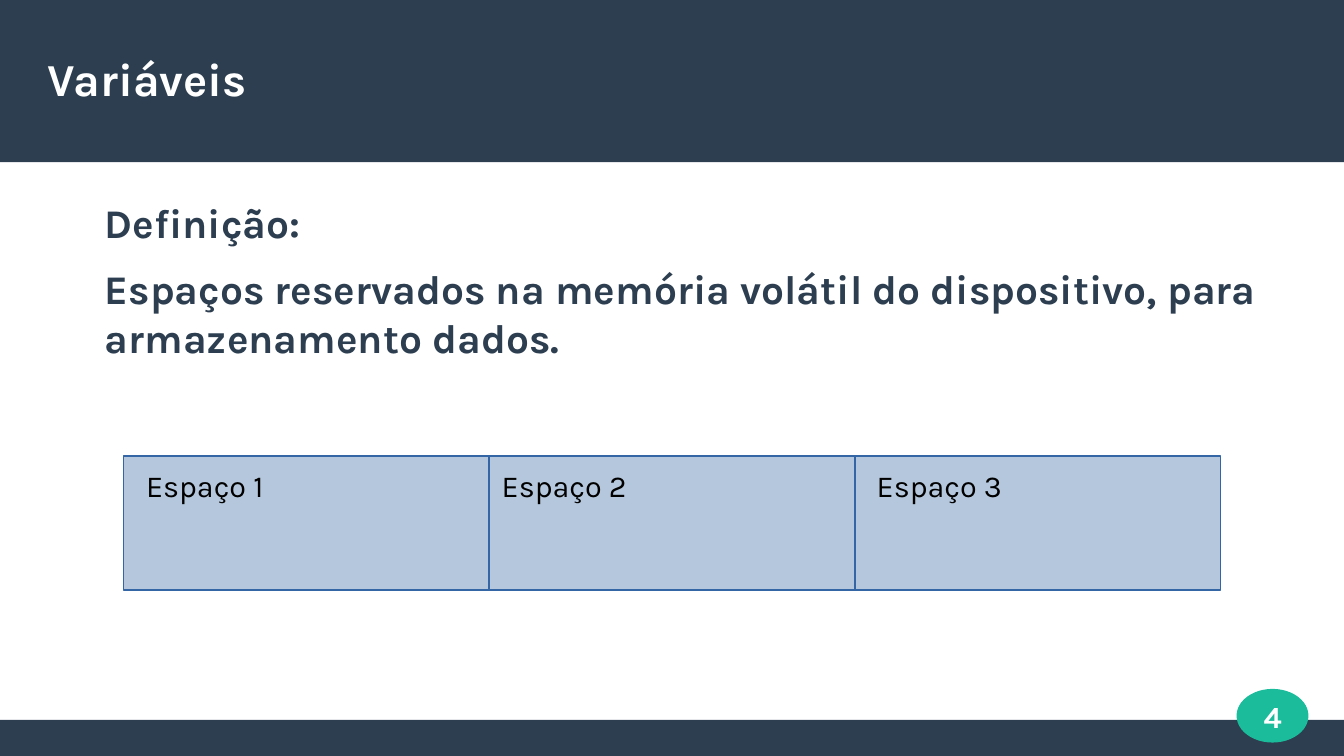
from dataclasses import dataclass

from pptx import Presentation
from pptx.dml.color import RGBColor
from pptx.enum.shapes import MSO_SHAPE as Shape
from pptx.enum.text import MSO_ANCHOR as Anchor, MSO_AUTO_SIZE as AutoSize, PP_ALIGN as Align
from pptx.util import Inches, Pt


@dataclass(frozen=True)
class Theme:
    font: str = "Karla"
    navy: str = "2C3E50"
    green: str = "1ABC9C"
    cell: str = "B4C7DC"
    border: str = "3465A4"
    white: str = "FFFFFF"
    black: str = "000000"
    title: int = 27
    body: int = 24
    label: int = 18
    paragraph_gap: float = 10.6


THEME = Theme()
WIDTH, HEIGHT = Inches(11.02), Inches(6.2)
NO_INSETS = (0, 0, 0, 0)
LABEL_INSETS = (0.1, 0.05, 0.1, 0.05)
SPACES = [("Espaço 1", 0.81), ("Espaço 2", 0.05), ("Espaço 3", 0.73)]
SPACE_LEFT, SPACE_TOP, SPACE_WIDTH, SPACE_HEIGHT = 9.17, 60.32, 27.22, 17.74


def set_values(target, values):
    for name, value in values.items():
        setattr(target, name, value)


def area(left, top, width, height):
    return (
        round(WIDTH * left / 100),
        round(HEIGHT * top / 100),
        round(WIDTH * width / 100),
        round(HEIGHT * height / 100),
    )


def add_block(page, kind, place, fill, border=None):
    block = page.shapes.add_shape(kind, *area(*place))
    block.shadow.inherit = False
    block.fill.solid()
    block.fill.fore_color.rgb = RGBColor.from_string(fill)
    if border:
        block.line.color.rgb = RGBColor.from_string(border)
        block.line.width = Pt(0)
    else:
        block.line.fill.background()


def write(box, lines, size, color, bold=False, align=Align.LEFT,
          anchor=Anchor.TOP, insets=NO_INSETS, gap=0):
    frame = box.text_frame
    frame.text = "\n".join(lines)
    sides = ("margin_left", "margin_top", "margin_right", "margin_bottom")
    set_values(frame, dict(zip(sides, map(Inches, insets))))
    set_values(frame, {"word_wrap": True, "auto_size": AutoSize.NONE, "vertical_anchor": anchor})
    for para in frame.paragraphs:
        set_values(para, {"alignment": align, "space_before": Pt(0), "space_after": Pt(gap)})
        for span in para.runs:
            set_values(span.font, {"name": THEME.font, "size": Pt(size), "bold": bold})
            span.font.color.rgb = RGBColor.from_string(color)


def add_text(page, place, lines, size, color, **style):
    write(page.shapes.add_textbox(*area(*place)), lines, size, color, **style)


def add_title(page, place, words):
    title = page.shapes.title
    title.element.getparent().append(title.element)
    set_values(title, dict(zip(("left", "top", "width", "height"), area(*place))))
    write(title, [words], THEME.title, THEME.white, bold=True, anchor=Anchor.MIDDLE)


def add_spaces(page):
    lefts = [SPACE_LEFT + index * SPACE_WIDTH for index in range(len(SPACES))]
    for left in lefts:
        add_block(page, Shape.FLOWCHART_PROCESS, (left, SPACE_TOP, SPACE_WIDTH, SPACE_HEIGHT),
                  THEME.cell, THEME.border)
    for left, (words, offset) in zip(lefts, SPACES):
        add_text(page, (left + offset, 60.97, 12.16, 7.1), [words],
                 THEME.label, THEME.black, insets=LABEL_INSETS)


def main():
    deck = Presentation()
    set_values(deck, {"slide_width": WIDTH, "slide_height": HEIGHT})
    page = deck.slides.add_slide(deck.slide_layouts[5])
    add_block(page, Shape.RECTANGLE, (0, 95.24, 100, 4.76), THEME.navy)
    add_block(page, Shape.RECTANGLE, (0, 0, 100, 21.45), THEME.navy)
    add_block(page, Shape.OVAL, (92.01, 91.13, 5.35, 7.1), THEME.green)
    add_title(page, (3.54, 4.03, 92.92, 12.74), "Variáveis")
    definition = [
        "Definição:",
        "Espaços reservados na memória volátil do dispositivo, para armazenamento dados.",
    ]
    add_text(page, (7.8, 26.13, 88.66, 66.61), definition, THEME.body, THEME.navy,
             bold=True, gap=THEME.paragraph_gap)
    add_spaces(page)
    add_text(page, (91.11, 90, 7.17, 9.52), ["4"], THEME.label, THEME.white,
             bold=True, align=Align.CENTER, anchor=Anchor.MIDDLE)
    deck.save("out.pptx")


if __name__ == "__main__":
    main()
